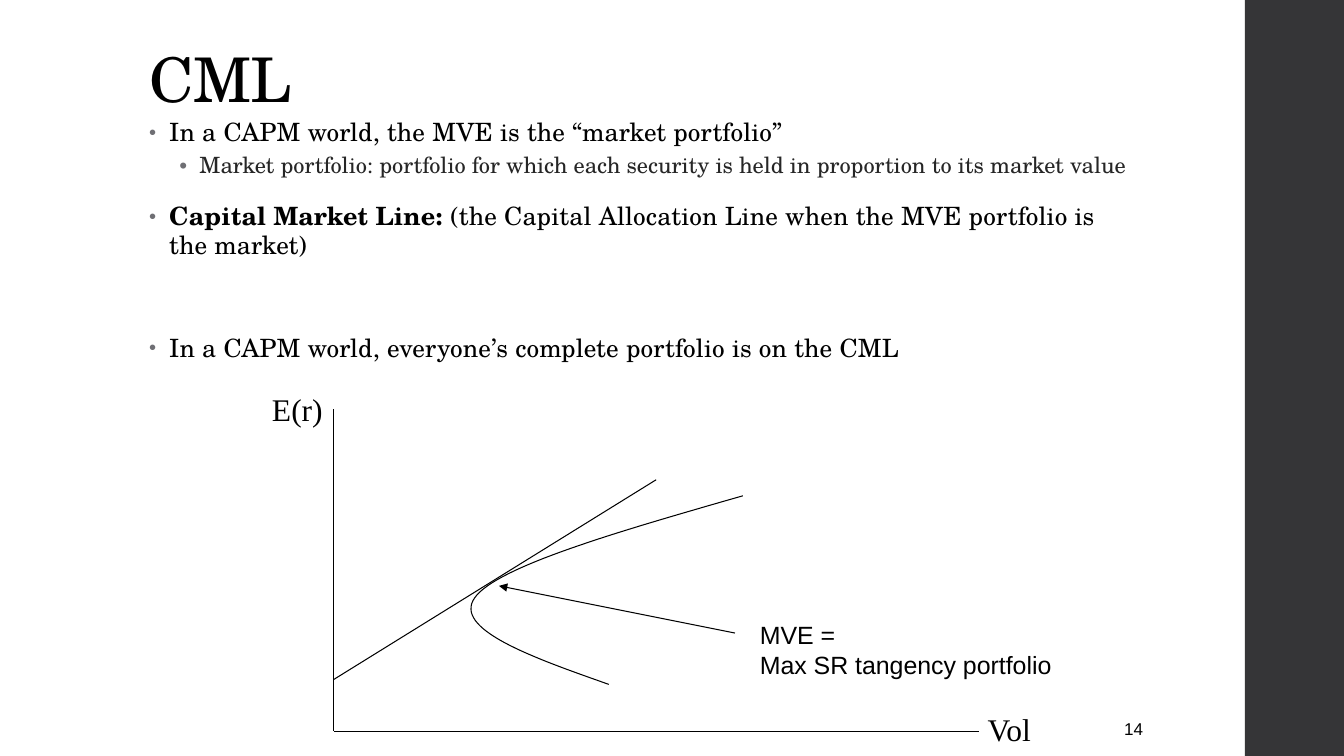
"""Build the Capital Market Line slide with its bullets and risk-return diagram."""
from dataclasses import dataclass
from typing import NamedTuple

from lxml import etree
from pptx import Presentation
from pptx.dml.color import RGBColor
from pptx.enum import shapes, text
from pptx.oxml.ns import qn
from pptx.util import Pt

BLACK = RGBColor(0x00, 0x00, 0x00)
DARK_GREY = RGBColor(0x26, 0x26, 0x26)
BULLET_GREY = RGBColor(0x6F, 0x6F, 0x74)
BAND_GREY = RGBColor(0x35, 0x35, 0x37)
SCHOLA = "TeX Gyre Schola"
TIMES = "Times New Roman"
ARIAL = "Arial"
LINE_WIDTH = 0.75
CURVE_STEPS = 32


class Point(NamedTuple):
    x: float
    y: float


class Box(NamedTuple):
    left: float
    top: float
    width: float
    height: float


@dataclass(frozen=True)
class Bullet:
    body: str
    before: float = 14
    lead: str = ""
    level: int = 0


@dataclass(frozen=True)
class Label:
    box: Box
    lines: str
    size: float
    font: str
    align: text.PP_ALIGN = text.PP_ALIGN.LEFT
    wrap: bool = False


@dataclass(frozen=True)
class Line:
    start: Point
    end: Point
    arrow: bool = False


ORIGIN = Point(238.5, 522.5)

BULLETS = [
    Bullet("In a CAPM world, the MVE is the “market portfolio”", before=0),
    Bullet("Market portfolio: portfolio for which each security is held in "
           "proportion to its market value", before=3, level=1),
    Bullet("(the Capital Allocation Line when the MVE portfolio is the market)",
           lead="Capital Market Line: "),
    Bullet("In a CAPM world, everyone’s complete portfolio is on the CML", before=51),
]

LABELS = [
    Label(Box(658, 509.75, 165.6, 30), "14", 12.2, ARIAL, text.PP_ALIGN.RIGHT, True),
    Label(Box(187.2, 275, 51.1, 34.6), "E(r)", 22.5, TIMES),
    Label(Box(698.4, 503.3, 45.4, 34.6), "Vol", 22.5, TIMES),
    Label(Box(535.7, 439.2, 225.4, 50.4), "MVE =\nMax SR tangency portfolio", 17.8, ARIAL),
]

LINES = [
    Line(Point(ORIGIN.x, 292.3), ORIGIN),
    Line(ORIGIN, Point(699.1, ORIGIN.y)),
    Line(Point(ORIGIN.x, 485.3), Point(468.7, 342.7)),
    Line(Point(356.4, 418.5), Point(525, 452.2), arrow=True),
]

FRONTIER = [
    (Point(530.6, 354.2), Point(442.8, 379.4), Point(355, 404.6), Point(339.1, 427)),
    (Point(339.1, 427), Point(323.3, 449.3), Point(379.4, 469.4), Point(434.9, 488.9)),
]


def lengths(box: Box) -> list:
    return [Pt(v) for v in box]


def format_run(r, size: float, font: str, color: RGBColor = BLACK,
               bold: bool = False, spacing: float = 0) -> None:
    r.font.size = Pt(size)
    r.font.name = font
    r.font.bold = bold
    r.font.color.rgb = color
    if spacing:
        r.font._element.set("spc", str(round(spacing * 100)))


def add_title(s) -> None:
    sp = s.shapes.title
    sp.left, sp.top, sp.width, sp.height = lengths(Box(99.4, 28.8, 763.2, 57.6))
    tf = sp.text_frame
    tf.text = "CML"
    tf.auto_size = text.MSO_AUTO_SIZE.NONE
    tf.vertical_anchor = text.MSO_ANCHOR.BOTTOM
    p = tf.paragraphs[0]
    p.alignment = text.PP_ALIGN.LEFT
    p.line_spacing = 0.9
    format_run(p.runs[0], 44, SCHOLA, spacing=-0.5)


def add_bullet_mark(p, level: int) -> None:
    pPr = p._p.get_or_add_pPr()
    pPr.set("marL", str(Pt(36 if level else 14.4)))
    pPr.set("indent", str(Pt(-14.4)))
    color = etree.SubElement(pPr, qn("a:buClr"))
    etree.SubElement(color, qn("a:srgbClr"), val=str(BULLET_GREY))
    etree.SubElement(pPr, qn("a:buSzPct"), val="100000" if level else "80000")
    etree.SubElement(pPr, qn("a:buFont"), typeface=ARIAL)
    etree.SubElement(pPr, qn("a:buChar"), char="•")


def add_bullets(s) -> None:
    tf = s.shapes.add_textbox(*lengths(Box(99.4, 81.4, 715.7, 429.1))).text_frame
    tf.word_wrap = True
    for i, bullet in enumerate(BULLETS):
        p = tf.add_paragraph() if i else tf.paragraphs[0]
        p.text = bullet.lead or bullet.body
        if bullet.lead:
            p.add_run().text = bullet.body
        p.level = bullet.level
        p.line_spacing = 0.9 if bullet.level else 0.95
        p.space_before = Pt(bullet.before)
        p.space_after = Pt(3 if bullet.level else 2)
        add_bullet_mark(p, bullet.level)
        for r in p.runs:
            if bullet.level:
                format_run(r, 16, SCHOLA, DARK_GREY)
            else:
                format_run(r, 18, SCHOLA, bold=r.text == bullet.lead, spacing=0.1)


def add_label(s, label: Label) -> None:
    tf = s.shapes.add_textbox(*lengths(label.box)).text_frame
    tf.text = label.lines
    tf.word_wrap = label.wrap
    if not label.wrap:
        tf.auto_size = text.MSO_AUTO_SIZE.SHAPE_TO_FIT_TEXT
    for p in tf.paragraphs:
        p.alignment = label.align
        format_run(p.runs[0], label.size, label.font)


def add_line(s, line: Line) -> None:
    sp = s.shapes.add_connector(shapes.MSO_CONNECTOR.STRAIGHT,
                                *lengths(line.start + line.end))
    sp.line.color.rgb = BLACK
    sp.line.width = Pt(LINE_WIDTH)
    if line.arrow:
        etree.SubElement(sp.line._get_or_add_ln(), qn("a:headEnd"), type="triangle")
    etree.SubElement(sp._element.spPr, qn("a:effectLst"))


def bezier(curve: tuple, t: float) -> tuple:
    weights = ((1 - t) ** 3, 3 * t * (1 - t) ** 2, 3 * t ** 2 * (1 - t), t ** 3)
    return (Pt(sum(w * c.x for w, c in zip(weights, curve))),
            Pt(sum(w * c.y for w, c in zip(weights, curve))))


def add_frontier(s) -> None:
    builder = s.shapes.build_freeform(*bezier(FRONTIER[0], 0))
    builder.add_line_segments(
        [bezier(curve, i / CURVE_STEPS) for curve in FRONTIER
         for i in range(1, CURVE_STEPS + 1)], close=False)
    sp = builder.convert_to_shape()
    sp.shadow.inherit = False
    sp.fill.background()
    sp.line.color.rgb = BLACK
    sp.line.width = Pt(LINE_WIDTH)


def add_side_band(s) -> None:
    sp = s.shapes.add_shape(shapes.MSO_SHAPE.RECTANGLE, *lengths(Box(889.2, 0, 70.8, 540)))
    sp.shadow.inherit = False
    sp.fill.solid()
    sp.fill.fore_color.rgb = BAND_GREY
    sp.line.fill.background()


def main() -> None:
    prs = Presentation()
    prs.slide_width, prs.slide_height = Pt(960), Pt(540)
    s = prs.slides.add_slide(prs.slide_layouts[5])
    add_side_band(s)
    add_title(s)
    add_bullets(s)
    for line in LINES:
        add_line(s, line)
    add_frontier(s)
    for label in LABELS:
        add_label(s, label)
    prs.save("out.pptx")


if __name__ == "__main__":
    main()
